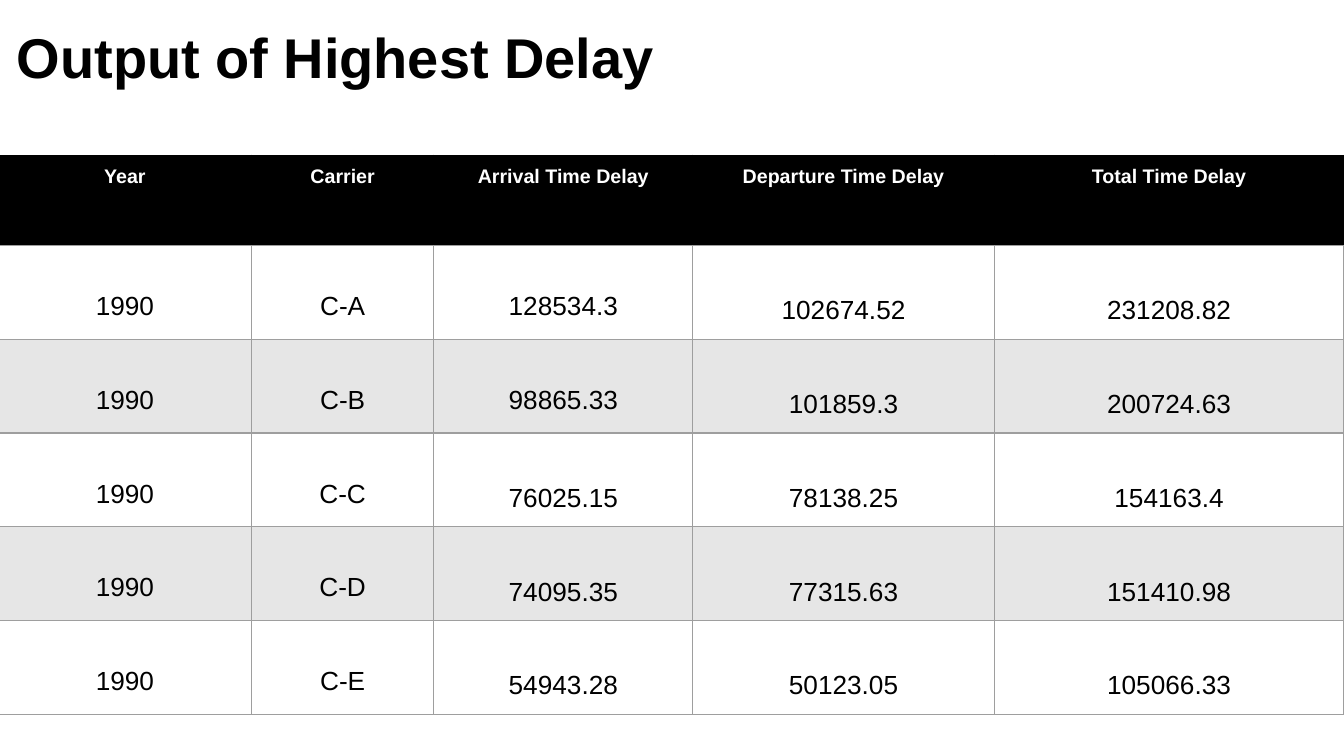
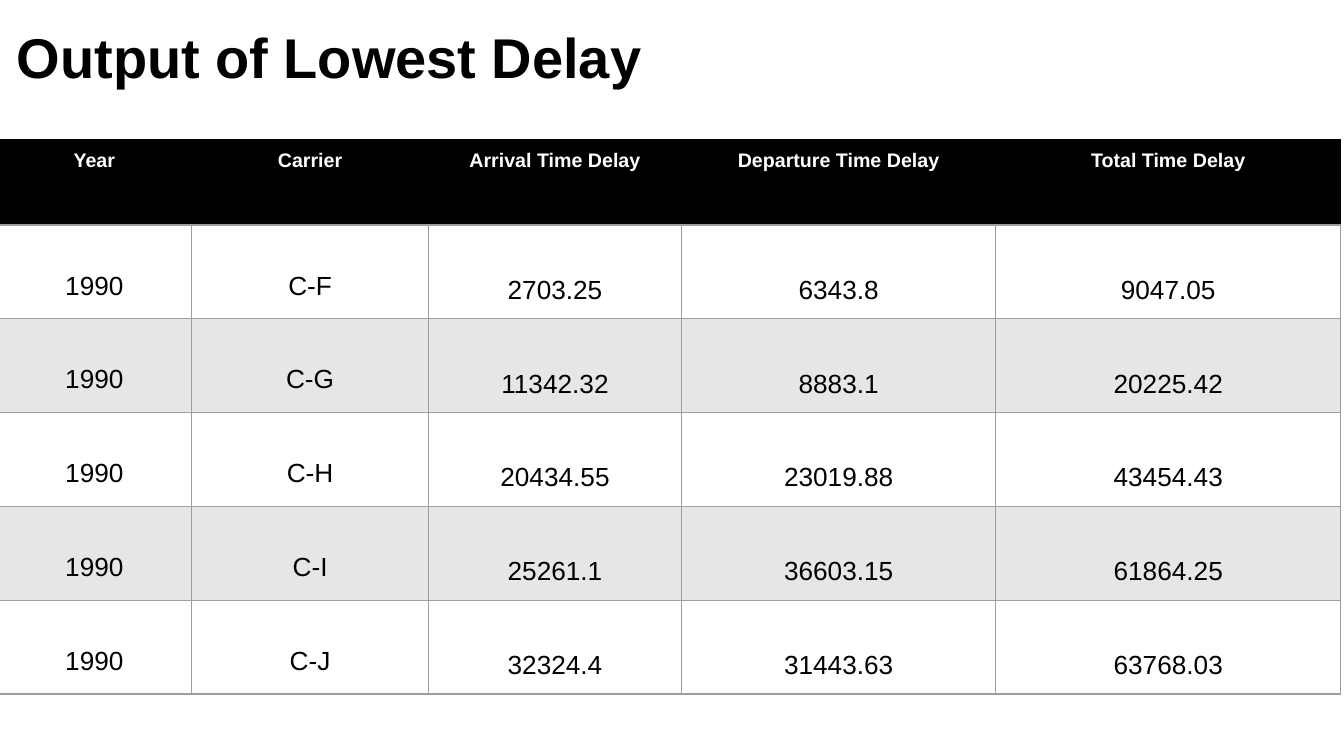
import pptx
import pptx.dml.color
import pptx.enum.text
import pptx.oxml
import pptx.oxml.ns
import pptx.util

Pt = pptx.util.Pt
COLORS = {"black": "000000", "white": "FFFFFF", "band": "E6E6E6", "rule": "9E9E9E"}
FONT = "Arial"
HEADINGS = ["Year", "Carrier", "Arrival Time Delay", "Departure Time Delay", "Total Time Delay"]
YEAR = "1990"
ROW_HEIGHT = 67

# raised_rows: how many rows have the tighter line in the arrival column
SLIDES = [
    {
        "title": "Output of Highest Delay",
        "left": -1.2, "top": 110.8, "header_height": 64.6, "raised_rows": 2,
        "widths": [180.8, 130.3, 185, 215.3, 249.8],
        "rows": [
            ["C-A", "128534.3", "102674.52", "231208.82"],
            ["C-B", "98865.33", "101859.3", "200724.63"],
            ["C-C", "76025.15", "78138.25", "154163.4"],
            ["C-D", "74095.35", "77315.63", "151410.98"],
            ["C-E", "54943.28", "50123.05", "105066.33"],
        ],
    },
    {
        "title": "Output of Lowest Delay",
        "left": -2.1, "top": 100, "header_height": 60.8, "raised_rows": 0,
        "widths": [139, 169.2, 180.7, 224.6, 246.2],
        "rows": [
            ["C-F", "2703.25", "6343.8", "9047.05"],
            ["C-G", "11342.32", "8883.1", "20225.42"],
            ["C-H", "20434.55", "23019.88", "43454.43"],
            ["C-I", "25261.1", "36603.15", "61864.25"],
            ["C-J", "32324.4", "31443.63", "63768.03"],
        ],
    },
]


def add_text(para, text, size, color, bold):
    span = para.add_run()
    span.text = text
    span.font.name = FONT
    span.font.size = Pt(size)
    span.font.bold = bold
    span.font.color.rgb = pptx.dml.color.RGBColor.from_string(COLORS[color])


def style_cell(cell, fill, margin, borders):
    cell.margin_left = cell.margin_right = Pt(margin)
    cell.margin_top = cell.margin_bottom = Pt(margin)
    cell.fill.solid()
    cell.fill.fore_color.rgb = pptx.dml.color.RGBColor.from_string(COLORS[fill])
    properties = cell._tc.get_or_add_tcPr()
    # Borders come before the fill, in the order left, right, top, bottom
    for index, (side, color) in enumerate(zip("LRTB", borders)):
        properties.insert(index, pptx.oxml.parse_xml(
            f'<a:ln{side} {pptx.oxml.ns.nsdecls("a")} w="{Pt(1)}"><a:solidFill>'
            f'<a:srgbClr val="{COLORS[color]}"/></a:solidFill></a:ln{side}>'))


deck = pptx.Presentation()
deck.slide_width = Pt(960)
deck.slide_height = Pt(540)

for content in SLIDES:
    page = deck.slides.add_slide(deck.slide_layouts[6])

    # Title
    box = page.shapes.add_textbox(Pt(8.4), Pt(7.4), Pt(677), Pt(60))
    frame = box.text_frame
    frame.word_wrap = True
    frame.vertical_anchor = pptx.enum.text.MSO_ANCHOR.BOTTOM
    frame.margin_left = frame.margin_right = Pt(3.6)
    frame.margin_top = frame.margin_bottom = Pt(3.6)
    add_text(frame.paragraphs[0], content["title"], 40, "black", True)

    # Table grid
    rows = [HEADINGS] + [[YEAR] + row for row in content["rows"]]
    heights = [content["header_height"]] + [ROW_HEIGHT] * len(content["rows"])
    table = page.shapes.add_table(
        len(rows), len(HEADINGS), Pt(content["left"]), Pt(content["top"]),
        Pt(sum(content["widths"])), Pt(sum(heights))).table
    table.first_row = table.horz_banding = False
    for column, width in zip(table.columns, content["widths"]):
        column.width = Pt(width)
    for table_row, height in zip(table.rows, heights):
        table_row.height = Pt(height)

    # Table cells
    for row_index, row in enumerate(rows):
        for column_index, text in enumerate(row):
            cell = table.cell(row_index, column_index)
            para = cell.text_frame.paragraphs[0]
            para.alignment = pptx.enum.text.PP_ALIGN.CENTER
            if row_index == 0:
                style_cell(cell, "black", 7.2, ["black", "black", "black", "rule"])
                add_text(para, text, 14, "white", True)
            else:
                fill = "white" if row_index % 2 else "band"
                style_cell(cell, fill, 10, ["rule"] * 4)
                raised = column_index < 2 or (
                    column_index == 2 and row_index <= content["raised_rows"])
                para.line_spacing = Pt(44 if raised else 47)
                add_text(para, text, 18.7, "black", False)

deck.save("out.pptx")
